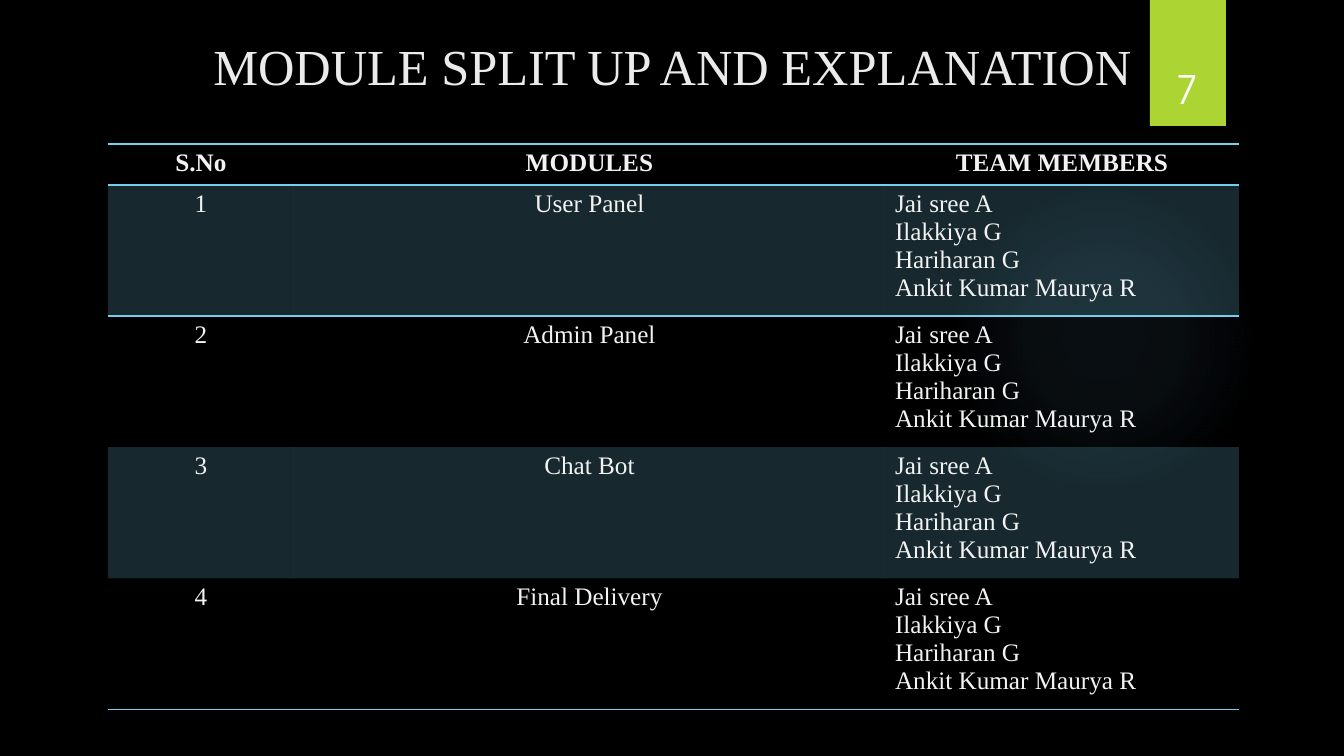
from lxml.etree import SubElement
from pptx import Presentation
from pptx.dml.color import RGBColor
from pptx.enum.shapes import MSO_SHAPE
from pptx.enum.text import MSO_ANCHOR, PP_ALIGN
from pptx.oxml import parse_xml
from pptx.oxml.ns import nsdecls, qn
from pptx.util import Emu, Pt

COLORS = {
    "background": "000000", "accent": "ACD433", "band": "75CEEC", "glow": "7AC4F0",
    "title": "EBEBEB", "body": "F2F2F2", "number": "FFFFFF",
}
SERIF = "Times New Roman"


def px(*lengths):
    return [Emu(round(length * 914400 / 100.8)) for length in lengths]


def write(frame, text, size=18, color="body", font=SERIF, bold=False,
          align=PP_ALIGN.CENTER, anchor=MSO_ANCHOR.TOP):
    frame.word_wrap = True
    frame.vertical_anchor = anchor
    frame.text = text
    for paragraph in frame.paragraphs:
        paragraph.alignment = align
        for run in paragraph.runs:
            run.font.name, run.font.size, run.font.bold = font, Pt(size), bold
            run.font.color.rgb = RGBColor.from_string(COLORS[color])


presentation = Presentation()
presentation.slide_width, presentation.slide_height = px(1344, 756)
slide = presentation.slides.add_slide(presentation.slide_layouts[6])
slide.background.fill.solid()
slide.background.fill.fore_color.rgb = RGBColor.from_string(COLORS["background"])

# Soft round glow
glow = slide.shapes.add_shape(MSO_SHAPE.OVAL, *px(949, 184, 310, 310))
glow.shadow.inherit = False
glow.line.fill.background()
stops = "".join(
    f'<a:gs pos="{position}000"><a:srgbClr val="{COLORS["glow"]}">'
    f'<a:alpha val="{alpha}000"/></a:srgbClr></a:gs>'
    for position, alpha in [(0, 7), (36, 6), (69, 0)])
glow.element.spPr.find(qn("a:prstGeom")).addnext(parse_xml(
    f'<a:gradFill {nsdecls("a")}><a:gsLst>{stops}</a:gsLst><a:path path="circle">'
    '<a:fillToRect l="50000" t="50000" r="50000" b="50000"/></a:path></a:gradFill>'))

# Page tab
tab = slide.shapes.add_shape(MSO_SHAPE.RECTANGLE, *px(1150, 0, 76, 126))
tab.shadow.inherit = False
tab.fill.solid()
tab.fill.fore_color.rgb = RGBColor.from_string(COLORS["accent"])
tab.line.fill.background()

# Title
title = slide.shapes.add_textbox(*px(93, 29, 1159, 73))
write(title.text_frame, "MODULE SPLIT UP AND EXPLANATION", size=36, color="title",
      anchor=MSO_ANCHOR.MIDDLE)

# Module table
team = "Jai sree A\nIlakkiya G\nHariharan G\nAnkit Kumar Maurya R"
modules = ["User Panel", "Admin Panel", "Chat Bot", "Final Delivery"]
rows = [("S.No", "MODULES", "TEAM MEMBERS")]
rows += [(str(number), module, team) for number, module in enumerate(modules, 1)]
column_widths = px(186, 591, 354)
row_heights = px(41, *[131] * len(modules))

module_frame = slide.shapes.add_table(len(rows), 3, *px(108, 144, 1131, 565))
module_table = module_frame.table
# Built-in style without fills or grid
module_frame.element.find(".//" + qn("a:tableStyleId")).text = \
    "{2D5ABB26-0587-4C30-8999-92F81FD0307C}"
for column, width in zip(module_table.columns, column_widths):
    column.width = width

for row_index, (values, height) in enumerate(zip(rows, row_heights)):
    module_table.rows[row_index].height = height
    edges = {0: ["lnT", "lnB"], 1: ["lnT"], len(modules): ["lnB"]}.get(row_index, [])
    for column_index, value in enumerate(values):
        cell = module_table.cell(row_index, column_index)
        write(cell.text_frame, value, bold=row_index == 0,
              align=PP_ALIGN.LEFT if value == team else PP_ALIGN.CENTER)
        if row_index % 2:
            cell.fill.solid()
            cell.fill.fore_color.rgb = RGBColor.from_string(COLORS["band"])
            tint = cell.fill._xPr.find(".//" + qn("a:srgbClr"))
            SubElement(tint, qn("a:alpha")).set("val", "20000")
        else:
            cell.fill.background()
        for position, edge in enumerate(edges):
            cell._tc.get_or_add_tcPr().insert(position, parse_xml(
                f'<a:{edge} {nsdecls("a")} w="12700"><a:solidFill>'
                f'<a:srgbClr val="{COLORS["band"]}"/></a:solidFill></a:{edge}>'))

# Slide number
page_number = slide.shapes.add_textbox(*px(1141, 32, 93, 85))
write(page_number.text_frame, "7", size=28, color="number", font="TeX Gyre Adventor",
      anchor=MSO_ANCHOR.BOTTOM)

presentation.save("out.pptx")
